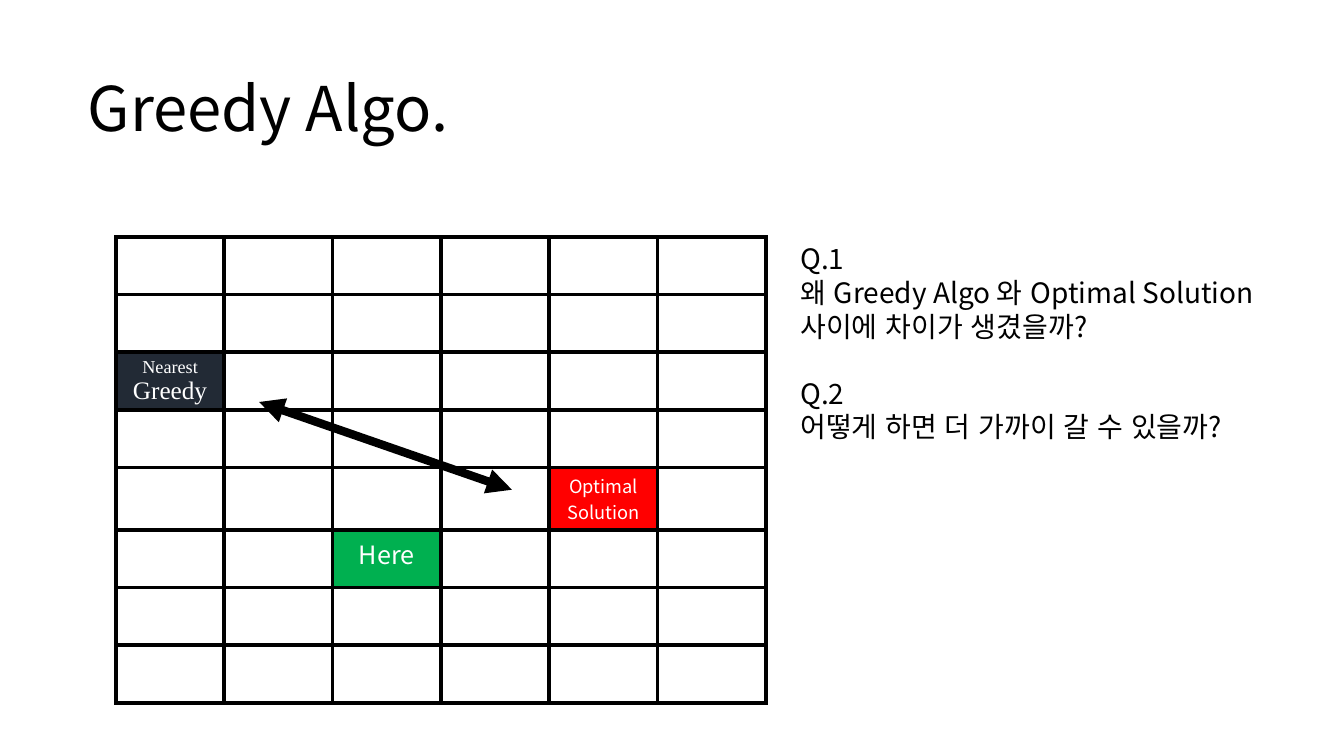
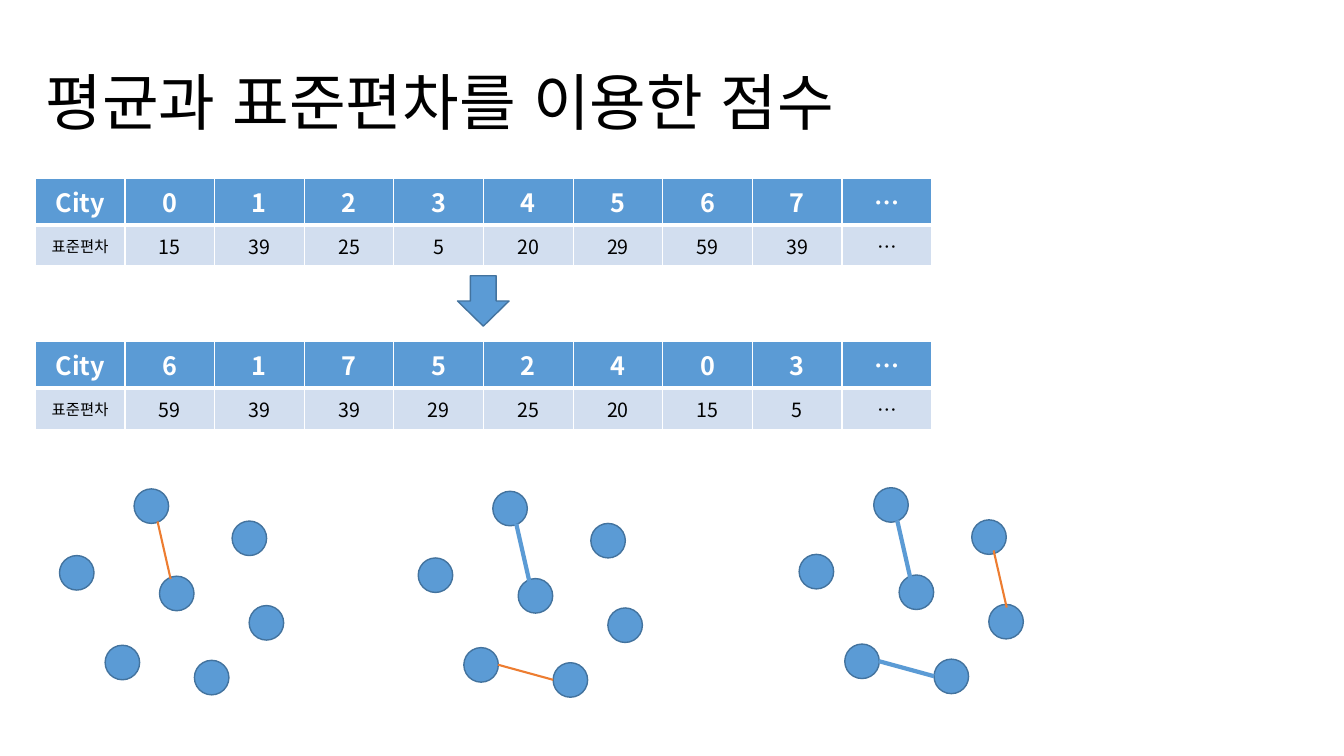
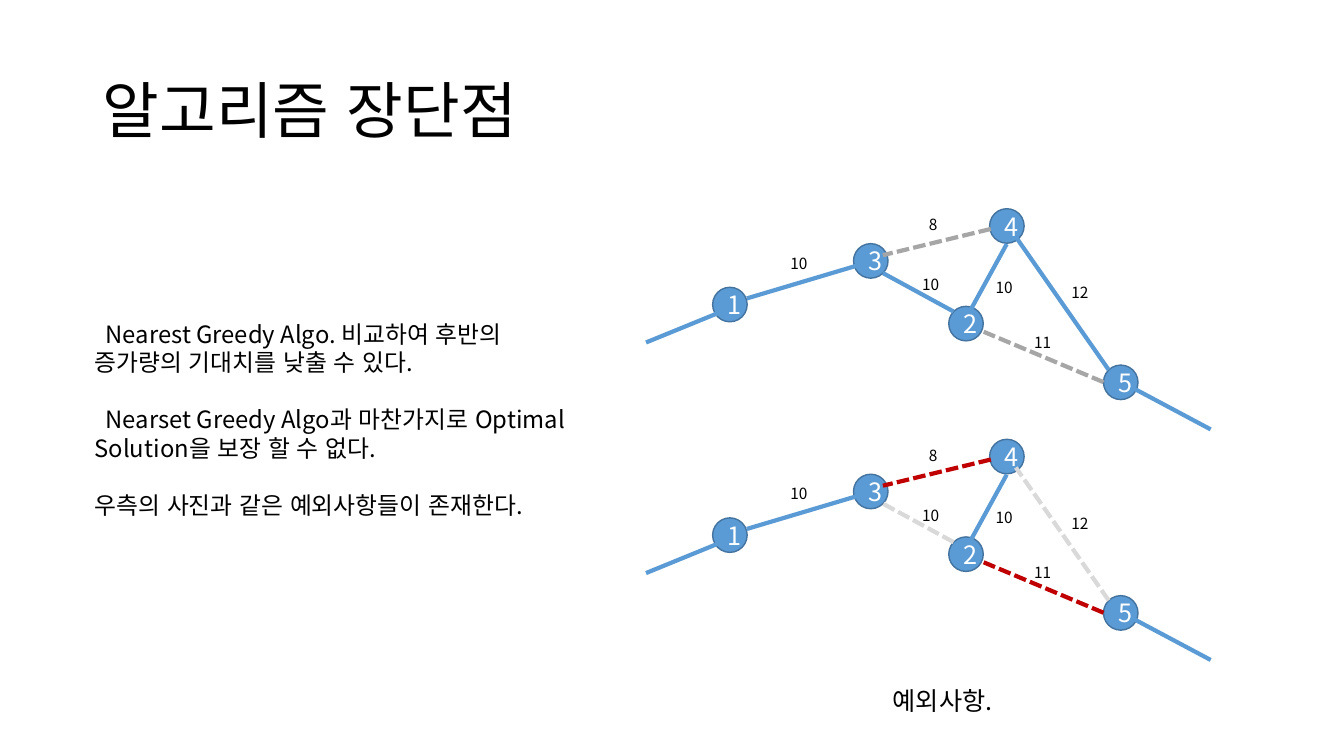
from lxml import etree
from pptx import Presentation
from pptx.dml.color import RGBColor
from pptx.enum.dml import MSO_LINE
from pptx.enum.lang import MSO_LANGUAGE_ID
from pptx.enum.shapes import MSO_CONNECTOR, MSO_SHAPE
from pptx.enum.text import MSO_ANCHOR, MSO_AUTO_SIZE, PP_ALIGN
from pptx.oxml.ns import qn
from pptx.util import Cm, Pt

LEFT, CENTER = PP_ALIGN.LEFT, PP_ALIGN.CENTER
TOP, MIDDLE = MSO_ANCHOR.TOP, MSO_ANCHOR.MIDDLE
FIXED = MSO_AUTO_SIZE.NONE
OVAL, DOWN_ARROW = MSO_SHAPE.OVAL, MSO_SHAPE.DOWN_ARROW
STRAIGHT = MSO_CONNECTOR.STRAIGHT
DASH = MSO_LINE.SQUARE_DOT
KOREAN = MSO_LANGUAGE_ID.KOREAN

COLORS = {
    "black": "000000", "white": "FFFFFF", "navy": "222A35",
    "red": "FF0000", "green": "00B050", "blue": "5B9BD5",
    "outline": "43739E", "pale": "D2DEEF", "orange": "ED7D31",
    "gray": "A6A6A6", "faint": "D9D9D9", "crimson": "C00000",
}
SANS, SERIF = "Noto Sans CJK KR", "Times New Roman"
NODE_SIZE = 0.87
TITLE_ONLY, TITLE_AND_BODY = 5, 1

DEVIATIONS = [15, 39, 25, 5, 20, 29, 59, 39]
CITY_SPOTS = [(1.88, 0), (0, 1.68), (2.52, 2.2), (1.15, 3.94),
              (3.4, 4.32), (4.35, 0.81), (4.78, 2.94)]
CITY_LINKS = [((2.47, 0.82), (2.8, 2.27)),
              ((2.01, 4.37), (3.4, 4.75)),
              ((4.9, 1.58), (5.23, 3.02))]
CLUSTER_ORIGINS = [(1.5, 12.32), (10.54, 12.38), (20.14, 12.29)]

ROUTE_NODES = {"3": (21.51, 6.14), "1": (17.96, 7.24), "2": (23.91, 7.72),
               "4": (24.94, 5.26), "5": (27.81, 9.2)}
ROUTE_EDGES = [
    ((18.82, 7.52), (21.64, 6.68), "kept"),
    ((24.03, 7.85), (22.25, 6.88), "replaced"),
    ((27.94, 9.32), (25.6, 5.97), "replaced"),
    ((25.37, 6.15), (24.41, 7.9), "kept"),
    ((27.81, 9.63), (24.79, 8.36), "shortcut"),
    ((24.97, 5.77), (22.25, 6.43), "shortcut"),
    ((16.28, 8.63), (18.19, 7.85), "kept"),
    ((28.5, 9.75), (30.51, 10.82), "kept"),
]
ROUTE_COSTS = [("10", 19.67, 6.27), ("10", 22.99, 6.81), ("10", 24.84, 6.88),
               ("12", 26.75, 7.01), ("8", 23.16, 5.3), ("11", 25.81, 8.26)]
GREEDY_ROUTE = {"kept": ("blue", None), "replaced": ("blue", None),
                "shortcut": ("gray", DASH)}
BETTER_ROUTE = {"kept": ("blue", None), "replaced": ("faint", DASH),
                "shortcut": ("crimson", DASH)}


def rgb(name):
    return RGBColor.from_string(COLORS[name])


def write(frame, text, size=18, color="black", font=SANS, bold=False,
          align=LEFT, spacing=1.0, before=0, indent=0):
    paragraph = frame.add_paragraph() if frame.text else frame.paragraphs[0]
    paragraph.alignment = align
    paragraph.line_spacing = spacing
    paragraph.space_before = Pt(before)
    properties = paragraph._p.get_or_add_pPr()
    properties.set("marL", "0")
    properties.set("indent", str(Cm(indent)))
    etree.SubElement(properties, qn("a:buNone"))
    run = paragraph.add_run()
    run.text = text
    run.font.size, run.font.bold, run.font.name = Pt(size), bold, font
    run.font.color.rgb = rgb(color)
    run.font.language_id = KOREAN
    east_asian = etree.SubElement(run._r.get_or_add_rPr(), qn("a:ea"))
    east_asian.set("typeface", font)


def place(shape, left, top, width, height):
    shape.left, shape.top = Cm(left), Cm(top)
    shape.width, shape.height = Cm(width), Cm(height)


def add_titled_slide(deck, title, left, top, layout=TITLE_ONLY):
    slide = deck.slides.add_slide(deck.slide_layouts[layout])
    heading = slide.shapes.title
    place(heading, left, top, 29.21, 3.68)
    heading.text_frame.vertical_anchor = MIDDLE
    heading.text_frame.auto_size = FIXED
    write(heading.text_frame, title, size=44, spacing=0.9)
    return slide


def add_text_box(slide, left, top, width, height):
    frame = slide.shapes.add_textbox(
        Cm(left), Cm(top), Cm(width), Cm(height)).text_frame
    frame.word_wrap = True
    return frame


def add_blue_shape(slide, preset, left, top, width, height):
    shape = slide.shapes.add_shape(
        preset, Cm(left), Cm(top), Cm(width), Cm(height))
    shape.shadow.inherit = False
    shape.fill.solid()
    shape.fill.fore_color.rgb = rgb("blue")
    shape.line.color.rgb = rgb("outline")
    shape.line.width = Pt(1)
    return shape


def add_node(slide, left, top, number=None):
    node = add_blue_shape(slide, OVAL, left, top, NODE_SIZE, NODE_SIZE)
    if number:
        node.text_frame.vertical_anchor = MIDDLE
        write(node.text_frame, number, color="white", align=CENTER)


def add_line(slide, start, end, color, width, dash=None, arrows=False):
    connector = slide.shapes.add_connector(
        STRAIGHT, *(Cm(value) for value in (*start, *end)))
    connector.line.color.rgb = rgb(color)
    connector.line.width = Pt(width)
    if dash:
        connector.line.dash_style = dash
    properties = connector._element.spPr
    if arrows:
        for tip in ("a:headEnd", "a:tailEnd"):
            etree.SubElement(properties.find(qn("a:ln")), qn(tip), type="triangle")
    etree.SubElement(properties, qn("a:effectLst"))


def add_grid(slide, rows, columns, left, top, column_width, row_height):
    table = slide.shapes.add_table(
        rows, columns, Cm(left), Cm(top),
        Cm(column_width * columns), Cm(row_height * rows)).table
    table.first_row = table.horz_banding = False
    for column in table.columns:
        column.width = Cm(column_width)
    for row in table.rows:
        row.height = Cm(row_height)
    return table


def style_cell(cell, border, width, bottom=None, fill=None, anchor=TOP):
    properties = cell._tc.get_or_add_tcPr()
    for side in "LRTB":
        points = bottom if side == "B" and bottom else width
        edge = etree.SubElement(properties, qn(f"a:ln{side}"), w=str(Pt(points)))
        solid = etree.SubElement(edge, qn("a:solidFill"))
        etree.SubElement(solid, qn("a:srgbClr"), val=COLORS[border])
    if fill:
        cell.fill.solid()
        cell.fill.fore_color.rgb = rgb(fill)
    else:
        cell.fill.background()
    cell.vertical_anchor = anchor


def add_city_table(slide, top, cities):
    headers = ["City", *map(str, cities), "…"]
    scores = ["표준편차", *(str(DEVIATIONS[city]) for city in cities), "…"]
    table = add_grid(slide, 2, len(headers), 0.89, top, 2.26, 1.03)
    for column, (header, score) in enumerate(zip(headers, scores)):
        head, body = table.cell(0, column), table.cell(1, column)
        style_cell(head, "white", 1, bottom=3, fill="blue")
        write(head.text_frame, header, color="white", bold=True, align=CENTER)
        style_cell(body, "white", 1, fill="pale", anchor=MIDDLE)
        write(body.text_frame, score, size=14 if column else 11, align=CENTER)


def add_cluster(slide, origin, link_count):
    def shift(spot):
        return origin[0] + spot[0], origin[1] + spot[1]

    for spot in CITY_SPOTS:
        add_node(slide, *shift(spot))
    for step, (start, end) in enumerate(CITY_LINKS[:link_count], 1):
        color, width = ("orange", 1.5) if step == link_count else ("blue", 3)
        add_line(slide, shift(start), shift(end), color, width)


def add_route(slide, drop, styles):
    for number, (left, top) in ROUTE_NODES.items():
        add_node(slide, left, top + drop, number)
    for (x1, y1), (x2, y2), role in ROUTE_EDGES:
        color, dash = styles[role]
        add_line(slide, (x1, y1 + drop), (x2, y2 + drop), color, 3, dash)
    for cost, left, top in ROUTE_COSTS:
        label = add_text_box(slide, left, top + drop, 1.24, 0.74)
        write(label, cost, size=11)


def build_greedy_slide(deck):
    slide = add_titled_slide(deck, "Greedy Algo.", 1.96, 0.97)
    grid = add_grid(slide, 8, 6, 2.92, 5.97, 2.73, 1.45)
    marks = {
        (2, 0): ("navy", SERIF, [("Nearest", 13), ("Greedy", 18)]),
        (4, 4): ("red", SANS, [("Optimal", 13), ("Solution", 13)]),
        (5, 2): ("green", SANS, [("Here", 18)]),
    }
    for row in range(8):
        for column in range(6):
            cell = grid.cell(row, column)
            fill, font, lines = marks.get((row, column), (None, SANS, []))
            style_cell(cell, "black", 3, fill=fill)
            for text, size in lines:
                write(cell.text_frame, text, size=size, color="white",
                      font=font, align=CENTER)
    add_line(slide, (6.53, 10.13), (12.9, 12.34), "black", 6, arrows=True)
    questions = add_text_box(slide, 19.92, 5.97, 12.2, 5.38)
    for text, gap in [("Q.1", 0),
                      ("왜 Greedy Algo 와 Optimal Solution", 0),
                      ("사이에 차이가 생겼을까?", 0),
                      ("Q.2", 24),
                      ("어떻게 하면 더 가까이 갈 수 있을까?", 0)]:
        write(questions, text, size=20, before=gap)


def build_score_slide(deck):
    slide = add_titled_slide(deck, "평균과 표준편차를 이용한 점수", 0.89, 0.81)
    cities = range(len(DEVIATIONS))
    add_city_table(slide, 4.5, cities)
    add_city_table(slide, 8.61, sorted(cities, key=lambda city: -DEVIATIONS[city]))
    add_blue_shape(slide, DOWN_ARROW, 11.53, 6.95, 1.3, 1.27)
    for link_count, origin in enumerate(CLUSTER_ORIGINS, 1):
        add_cluster(slide, origin, link_count)


def build_review_slide(deck):
    slide = add_titled_slide(deck, "알고리즘 장단점", 2.34, 1.02, TITLE_AND_BODY)
    review = slide.placeholders[1]
    place(review, 2.13, 7.92, 12.45, 6.5)
    review.text_frame.auto_size = FIXED
    for text, indent, gap in [
        ("Nearest Greedy Algo. 비교하여 후반의 증가량의 기대치를 낮출 수 있다.", 0.28, 0),
        ("Nearset Greedy Algo과 마찬가지로 Optimal Solution을 보장 할 수 없다.", 0.28, 20.4),
        ("우측의 사진과 같은 예외사항들이 존재한다.", 0, 20.4),
    ]:
        write(review.text_frame, text, size=17, before=gap, indent=indent)
    add_route(slide, 0, GREEDY_ROUTE)
    add_route(slide, 5.81, BETTER_ROUTE)
    caption = add_text_box(slide, 22.25, 17.15, 3.56, 1.07)
    write(caption, "예외사항.")


def main():
    deck = Presentation()
    deck.slide_width, deck.slide_height = Cm(33.87), Cm(19.05)
    build_greedy_slide(deck)
    build_score_slide(deck)
    build_review_slide(deck)
    deck.save("out.pptx")


main()
